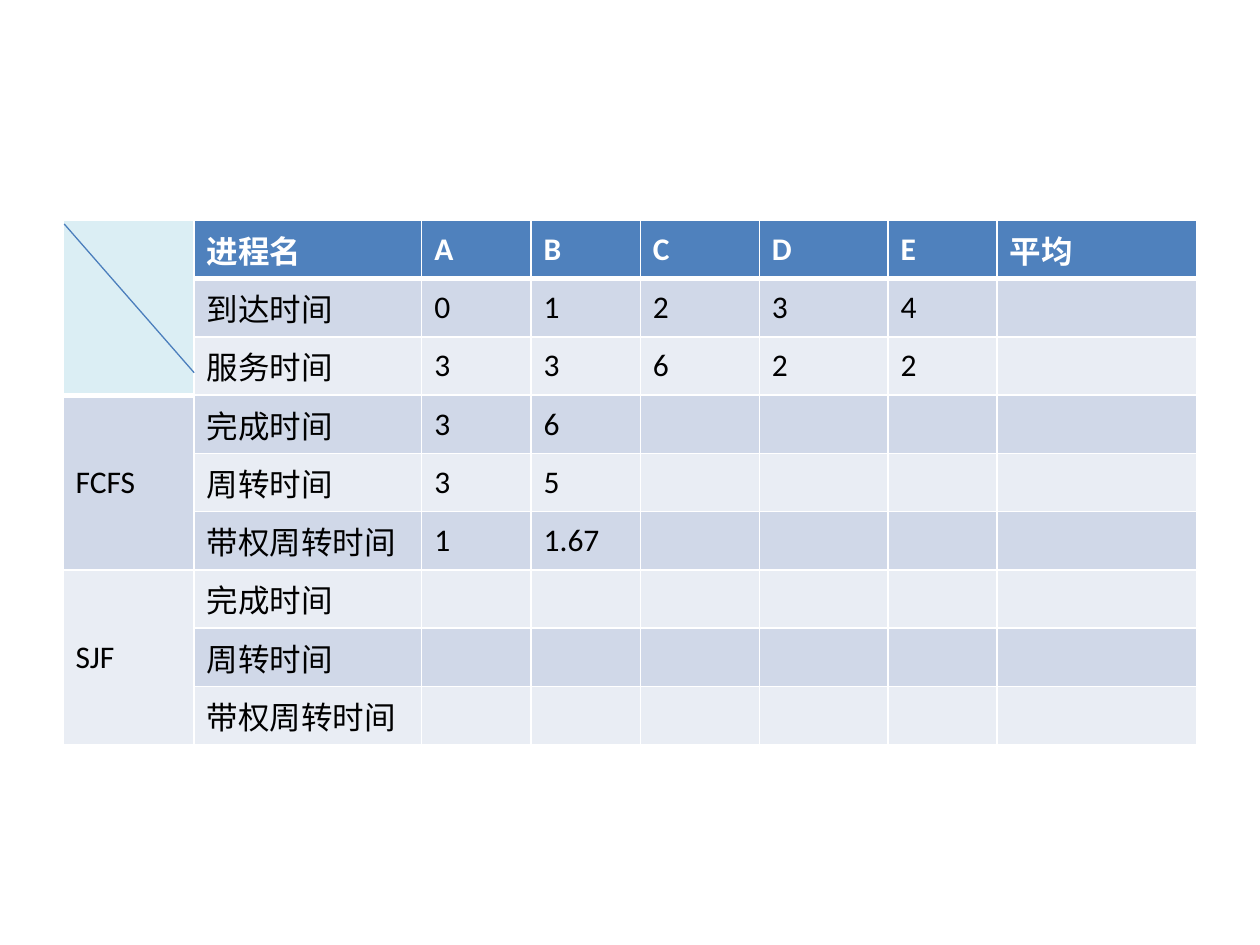
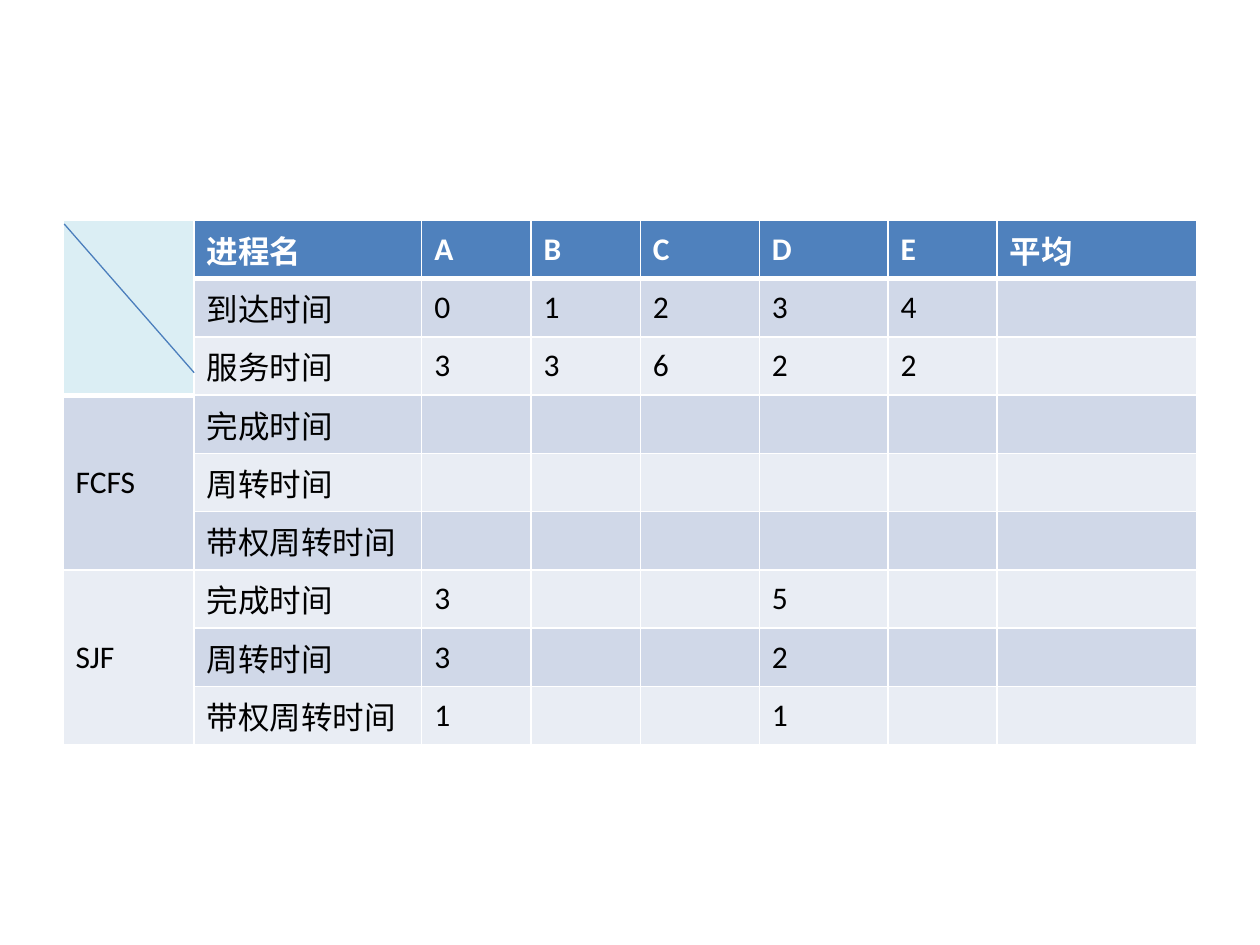
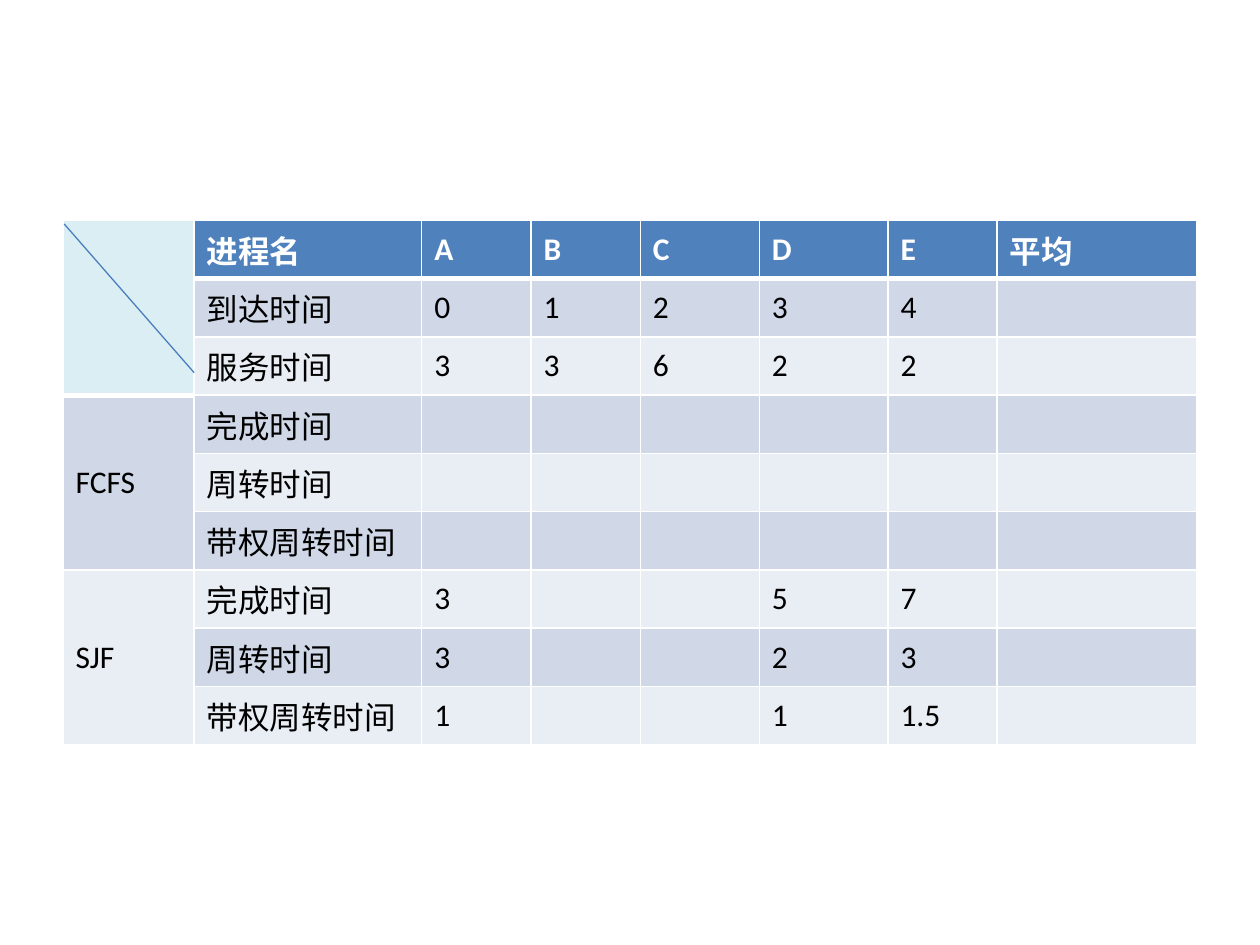
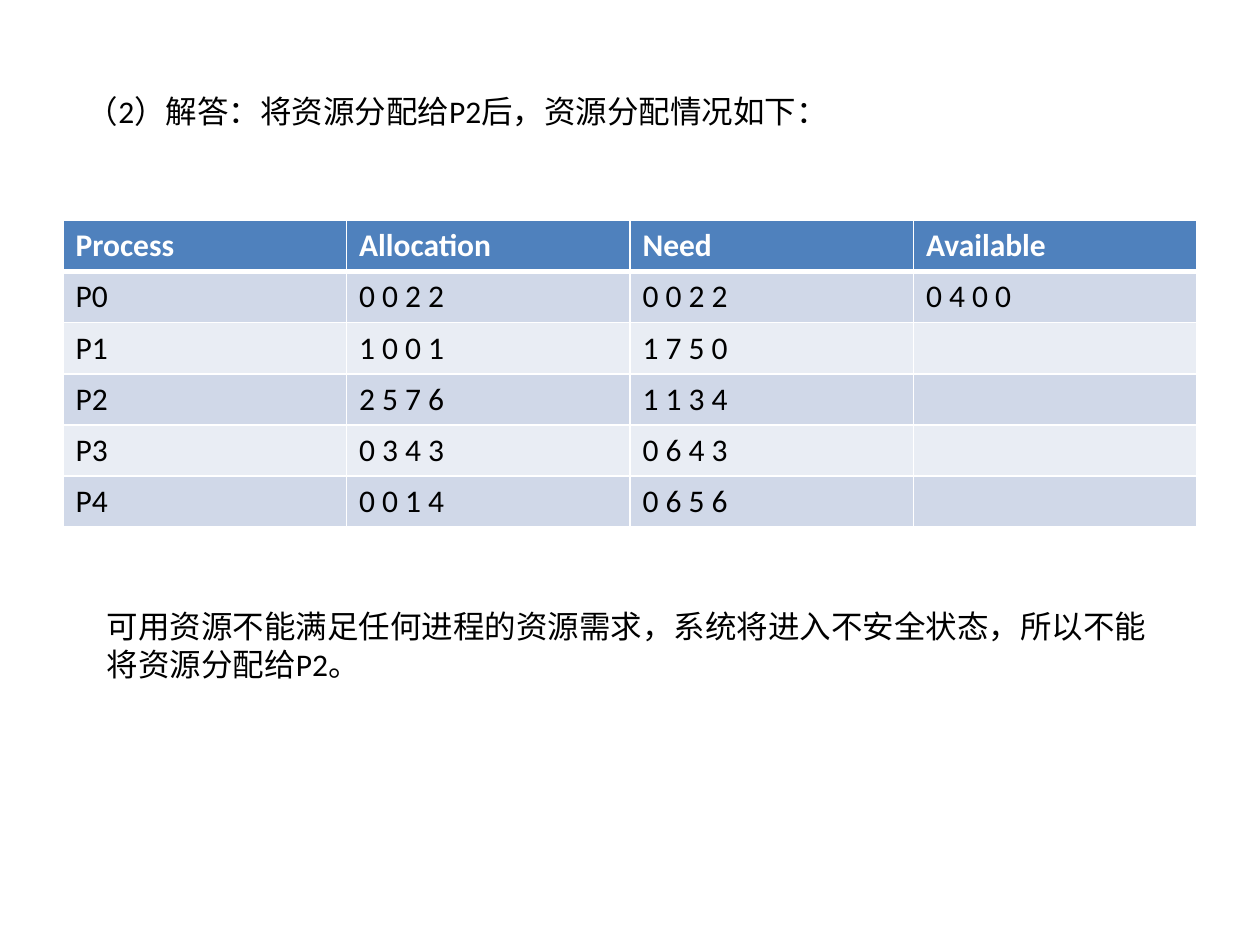
from lxml import etree
from pptx import Presentation
from pptx.dml.color import RGBColor
from pptx.enum.shapes import MSO_CONNECTOR
from pptx.enum.text import MSO_ANCHOR, MSO_AUTO_SIZE
from pptx.oxml.ns import qn
from pptx.util import Pt

COLORS = {
    "header": "4F81BD", "corner": "DBEEF4", "odd": "D0D8E8", "even": "E9EDF4",
    "white": "FFFFFF", "text": "000000", "diagonal": "4B7EBC",
}
FONT, TEXT_SIZE = "Calibri", 18
TABLE_LEFT, TABLE_TOP, ROW_HEIGHT = 36, 126, 29.2
BLOCK = 3  # rows under one merged label


def set_text(frame, text, color="text", bold=False):
    run = frame.paragraphs[0].add_run()
    run.text = text
    run.font.name, run.font.size, run.font.bold = FONT, Pt(TEXT_SIZE), bold
    run.font.color.rgb = RGBColor.from_string(COLORS[color])


def add_grid(slide, rows, widths, has_corner=False):
    table = slide.shapes.add_table(
        len(rows), len(widths), Pt(TABLE_LEFT), Pt(TABLE_TOP),
        Pt(sum(widths)), Pt(ROW_HEIGHT * len(rows))).table
    for column, width in zip(table.columns, widths):
        column.width = Pt(width)
    for r, values in enumerate(rows):
        table.rows[r].height = Pt(ROW_HEIGHT)
        for c, value in enumerate(values):
            cell = table.cell(r, c)
            in_corner = has_corner and c == 0 and r < BLOCK
            # White borders, thicker below the header; the row above draws the top edge
            borders = {"lnL": 1, "lnR": 1, "lnB": 3 if r == 0 or in_corner else 1}
            if r == 0:
                borders = {"lnL": 1, "lnR": 1, "lnT": 1, "lnB": 3}
            for tag, width in borders.items():
                line = etree.SubElement(cell._tc.get_or_add_tcPr(), qn("a:" + tag), w=str(Pt(width)))
                fill = etree.SubElement(line, qn("a:solidFill"))
                etree.SubElement(fill, qn("a:srgbClr"), val=COLORS["white"])
            # Header fill, then two alternating bands
            band = "corner" if in_corner else "header" if r == 0 else "odd" if r % 2 else "even"
            cell.fill.solid()
            cell.fill.fore_color.rgb = RGBColor.from_string(COLORS[band])
            if has_corner:
                cell.vertical_anchor = MSO_ANCHOR.MIDDLE
            if value:
                set_text(cell.text_frame, value, "white" if r == 0 else "text", r == 0)
    return table


prs = Presentation()
prs.slide_width, prs.slide_height = Pt(720), Pt(540)
blank = prs.slide_layouts[6]

# Scheduling slides: one table, filled in step by step
SCHEDULE_WIDTHS = [75, 130, 62.5, 62.5, 68, 73.5, 62.5, 114]
PROCESSES = "ABCDE"
MEASURES = ["完成时间", "周转时间", "带权周转时间"]
schedule_steps = [
    {"FCFS": {"A": ["3", "3", "1"], "B": ["6", "5", "1.67"]}},
    {"SJF": {"A": ["3", "3", "1"], "D": ["5", "2", "1"]}},
    {"SJF": {"A": ["3", "3", "1"], "D": ["5", "2", "1"], "E": ["7", "3", "1.5"]}},
]
for results in schedule_steps:
    slide = prs.slides.add_slide(blank)
    rows = [
        ["", "进程名", *PROCESSES, "平均"],
        ["", "到达时间", *"01234", ""],
        ["", "服务时间", *"33622", ""],
    ]
    for algorithm in ("FCFS", "SJF"):
        known = results.get(algorithm, {})
        for i, measure in enumerate(MEASURES):
            values = [known[p][i] if p in known else "" for p in PROCESSES]
            rows.append([algorithm if i == 0 else "", measure, *values, ""])
    table = add_grid(slide, rows, SCHEDULE_WIDTHS, has_corner=True)
    for top in range(0, len(rows), BLOCK):
        table.cell(top, 0).merge(table.cell(top + BLOCK - 1, 0))

    # Diagonal of the corner cell
    diagonal = slide.shapes.add_connector(
        MSO_CONNECTOR.STRAIGHT, Pt(36.7), Pt(128), Pt(111), Pt(213))
    diagonal.line.color.rgb = RGBColor.from_string(COLORS["diagonal"])
    diagonal.line.width = Pt(0.75)
    etree.SubElement(diagonal._element.spPr, qn("a:effectLst"))

# Resource allocation slide
slide = prs.slides.add_slide(blank)
add_grid(slide, [
    ["Process", "Allocation", "Need", "Available"],
    ["P0", "0 0 2 2", "0 0 2 2", "0 4 0 0"],
    ["P1", "1 0 0 1", "1 7 5 0", ""],
    ["P2", "2 5 7 6", "1 1 3 4", ""],
    ["P3", "0 3 4 3", "0 6 4 3", ""],
    ["P4", "0 0 1 4", "0 6 5 6", ""],
], [162] * 4)

# Statement above and conclusion below the table
for left, top, width, height, wrap, text in [
    (42.5, 49, 442, 29, False, "(2）解答：将资源分配给P2后，资源分配情况如下：".replace("(", "（")),
    (54, 343.5, 623.5, 51, True,
     "可用资源不能满足任何进程的资源需求，系统将进入不安全状态，所以不能将资源分配给P2。"),
]:
    frame = slide.shapes.add_textbox(Pt(left), Pt(top), Pt(width), Pt(height)).text_frame
    frame.word_wrap = wrap
    frame.auto_size = MSO_AUTO_SIZE.SHAPE_TO_FIT_TEXT
    set_text(frame, text)

prs.save("out.pptx")
